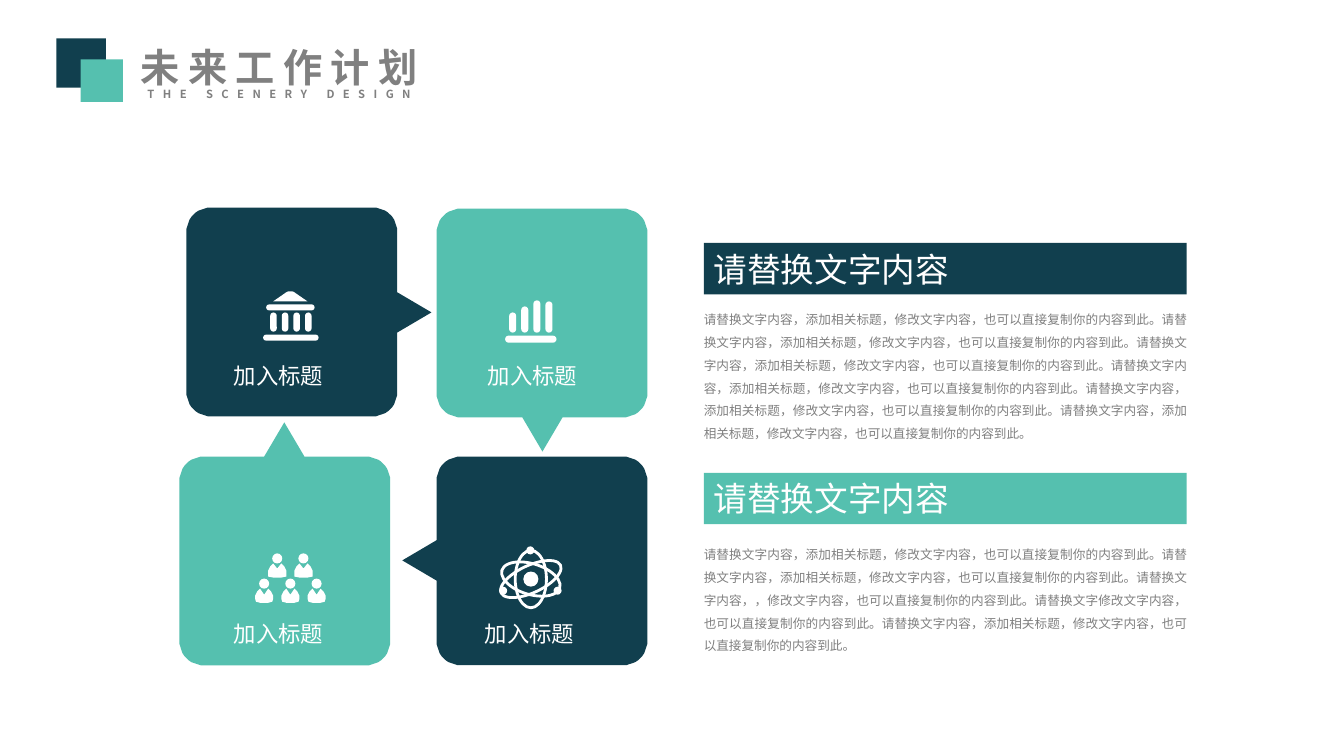
from collections import namedtuple
from math import cos, pi, sin

from lxml.etree import SubElement
from pptx import Presentation
from pptx.dml.color import RGBColor
from pptx.enum.shapes import MSO_SHAPE
from pptx.enum.text import MSO_ANCHOR, MSO_AUTO_SIZE, PP_ALIGN
from pptx.oxml.ns import qn
from pptx.util import Inches, Pt

COLORS = {"navy": "113F4E", "teal": "55C0AF", "gray": "808080", "white": "FFFFFF"}
CJK_FONT = "Noto Sans CJK SC"
CELL = Inches(0.01)
COLUMNS, ROWS = 1333, 750
Box = namedtuple("Box", "left top width height")

SENTENCE = "请替换文字内容，添加相关标题，修改文字内容，也可以直接复制你的内容到此。"
FIRST_BODY = SENTENCE * 6
SECOND_BODY = (
    SENTENCE * 2
    + "请替换文字内容，，修改文字内容，也可以直接复制你的内容到此。"
    + "请替换文字修改文字内容，也可以直接复制你的内容到此。"
    + SENTENCE
)


def color(name):
    return RGBColor.from_string(COLORS[name])


def inside(box, left, top, width, height):
    return Box(box.left + left, box.top + top, width, height)


def emu(box):
    return [round(length * CELL) for length in box]


def paint(shape, fill):
    shape.shadow.inherit = False
    shape.fill.solid()
    shape.fill.fore_color.rgb = color(fill)
    shape.line.fill.background()
    return shape


def add_preset(slide, preset, box, fill):
    return paint(slide.shapes.add_shape(preset, *emu(box)), fill)


def add_pill(slide, box):
    pill = add_preset(slide, MSO_SHAPE.ROUNDED_RECTANGLE, box, "white")
    pill.adjustments[0] = 0.5


def add_outline(slide, points, fill):
    builder = slide.shapes.build_freeform(*points[0], scale=CELL)
    builder.add_line_segments(points[1:], close=True)
    return paint(builder.convert_to_shape(), fill)


def prepare_frame(shape, margins, anchor=MSO_ANCHOR.TOP, wrap=True):
    frame = shape.text_frame
    frame.auto_size = MSO_AUTO_SIZE.NONE
    frame.word_wrap = wrap
    frame.vertical_anchor = anchor
    frame.margin_left = frame.margin_right = Inches(margins[0])
    frame.margin_top = frame.margin_bottom = Inches(margins[1])
    return frame


def write(paragraph, text, size, fill, font=CJK_FONT, align=PP_ALIGN.LEFT,
          bold=False, line_height=None, tracking=0):
    run = paragraph.add_run()
    run.text = text
    properties = run._r.get_or_add_rPr()
    properties.set("lang", "zh-CN")
    if tracking:
        properties.set("spc", str(tracking * 100))
    paragraph.alignment = align
    paragraph.space_before = Pt(0)
    if line_height:
        paragraph.line_spacing = Pt(line_height)
    paragraph_properties = paragraph._p.get_or_add_pPr()
    paragraph_properties.set("marL", "0")
    paragraph_properties.set("indent", "0")
    SubElement(paragraph_properties, qn("a:buNone"))
    paragraph.font.size = Pt(size)
    paragraph.font.bold = bold
    paragraph.font.name = font
    paragraph.font.color.rgb = color(fill)
    defaults = paragraph_properties.find(qn("a:defRPr"))
    defaults.find(qn("a:latin")).addnext(
        defaults.makeelement(qn("a:ea"), {"typeface": CJK_FONT})
    )


def move(shape, box):
    shape.left, shape.top, shape.width, shape.height = emu(box)


def add_header(slide, box):
    add_preset(slide, MSO_SHAPE.RECTANGLE, inside(box, 0, 6, 49, 49), "navy")
    add_preset(slide, MSO_SHAPE.RECTANGLE, inside(box, 24, 27, 42, 42), "teal")
    title = slide.shapes.title
    move(title, inside(box, 68, 0, 306, box.height))
    frame = prepare_frame(title, (0.1, 0.05), wrap=False)
    lines = [("未来工作计划", 28, 38), ("THE SCENERY DESIGN", 8, 7)]
    for index, (text, size, line_height) in enumerate(lines):
        paragraph = frame.add_paragraph() if index else frame.paragraphs[0]
        write(paragraph, text, size, "gray", align=PP_ALIGN.CENTER, bold=True,
              line_height=line_height, tracking=6)


def add_text_section(slide, body, box, body_offset, fill, text):
    heading = add_preset(slide, MSO_SHAPE.RECTANGLE,
                         inside(box, 0, 0, box.width, 51), fill)
    frame = prepare_frame(heading, (0.1, 0.05), MSO_ANCHOR.MIDDLE)
    write(frame.paragraphs[0], "请替换文字内容", 24, "white", "Arial", PP_ALIGN.JUSTIFY)
    move(body, inside(box, 0, body_offset, box.width, box.height - body_offset))
    frame = prepare_frame(body, (0, 0))
    write(frame.paragraphs[0], text, 9, "gray", "Arial", PP_ALIGN.JUSTIFY,
          line_height=16.3)


def card_points(box, pointer_side, radius=24, reach=34, half_base=20, steps=12):
    center_x, center_y = box.left + box.width / 2, box.top + box.height / 2
    points = []
    for side in range(4):
        normal_x, normal_y = [(0, -1), (1, 0), (0, 1), (-1, 0)][side]
        along_x, along_y = -normal_y, normal_x
        if side == pointer_side:
            edge_x = center_x + normal_x * box.width / 2
            edge_y = center_y + normal_y * box.height / 2
            for along, out in [(-half_base, 0), (0, reach), (half_base, 0)]:
                points.append((edge_x + along_x * along + normal_x * out,
                               edge_y + along_y * along + normal_y * out))
        corner_x = center_x + (normal_x + along_x) * (box.width / 2 - radius)
        corner_y = center_y + (normal_y + along_y) * (box.height / 2 - radius)
        for step in range(steps + 1):
            angle = (side - 1 + step / steps) * pi / 2
            points.append((corner_x + radius * cos(angle),
                           corner_y + radius * sin(angle)))
    return points


def add_bank_icon(slide, box):
    roof = [(10, 10), (23, 1), (25, 0), (29, 0), (31, 1), (44, 10)]
    add_outline(slide, [(box.left + x, box.top + y) for x, y in roof], "white")
    add_pill(slide, inside(box, 3, 13, 48, 6))
    for index in range(4):
        add_pill(slide, inside(box, 7 + 11.5 * index, 21, 6.5, 19))
    add_pill(slide, inside(box, 0, 43, 55, 6))


def add_bars_icon(slide, box):
    for index, height in enumerate([20, 26, 32, 31]):
        add_pill(slide, inside(box, 4 + 12 * index, 32 - height, 7, height))
    add_pill(slide, inside(box, 0, 35, 51, 7))


def add_people_icon(slide, box):
    body = [(5, 10), (9, 15.5), (13, 10), (16, 13), (18, 17), (18, 20),
            (17.5, 23), (13, 24), (5, 24), (0.5, 23), (0, 20), (0, 17), (2, 13)]
    for left, top in [(13, 0), (39, 0), (0, 25), (26, 25), (52, 25)]:
        person = inside(box, left, top, 18, 24)
        add_preset(slide, MSO_SHAPE.OVAL, inside(person, 4, 0, 10, 10), "white")
        add_outline(slide, [(person.left + x, person.top + y) for x, y in body], "white")


def add_atom_icon(slide, box):
    center_x, center_y = 31.5, 32.5
    for width, height, rotation in [(31, 57, 0), (65, 27, -25), (60, 30.5, 17)]:
        orbit = add_preset(slide, MSO_SHAPE.OVAL, inside(
            box, center_x - width / 2, center_y - height / 2, width, height), "white")
        orbit.fill.background()
        orbit.line.color.rgb = color("white")
        orbit.line.width = Pt(2)
        orbit.rotation = rotation
    for left, top, size in [(24, 25, 15), (54, 40, 8), (0, 40, 8), (27, 0, 8)]:
        add_preset(slide, MSO_SHAPE.OVAL, inside(box, left, top, size, size), "white")


def add_card(slide, box, pointer_side, fill, add_icon, icon_offset, label_offset):
    add_outline(slide, card_points(box, pointer_side), fill)
    add_icon(slide, inside(box, *icon_offset, 70, 65))
    label = slide.shapes.add_textbox(*emu(inside(box, *label_offset, 106, 35)))
    frame = prepare_frame(label, (0.08, 0.04), MSO_ANCHOR.MIDDLE, wrap=False)
    write(frame.paragraphs[0], "加入标题", 16, "white")


def add_cycle(slide, box):
    cards = [
        (7, 0, 1, "navy", add_bank_icon, (76, 83), (39, 149)),
        (255, 1, 2, "teal", add_bars_icon, (68, 91), (43, 148)),
        (0, 247, 0, "teal", add_people_icon, (75, 96), (46, 158)),
        (255, 247, 3, "navy", add_atom_icon, (62, 89), (40, 158)),
    ]
    for left, top, *details in cards:
        add_card(slide, inside(box, left, top, 209, 207), *details)


def main():
    presentation = Presentation()
    presentation.slide_width = COLUMNS * CELL
    presentation.slide_height = ROWS * CELL
    slide = presentation.slides.add_slide(presentation.slide_layouts[3])
    first_body, second_body = list(slide.placeholders)[1:3]
    add_header(slide, Box(56, 32, 374, 71))
    add_text_section(slide, first_body, Box(698, 241, 479, 195), 61, "navy", FIRST_BODY)
    add_text_section(slide, second_body, Box(698, 469, 479, 177), 66, "teal", SECOND_BODY)
    add_cycle(slide, Box(178, 206, 464, 454))
    presentation.save("out.pptx")


if __name__ == "__main__":
    main()
